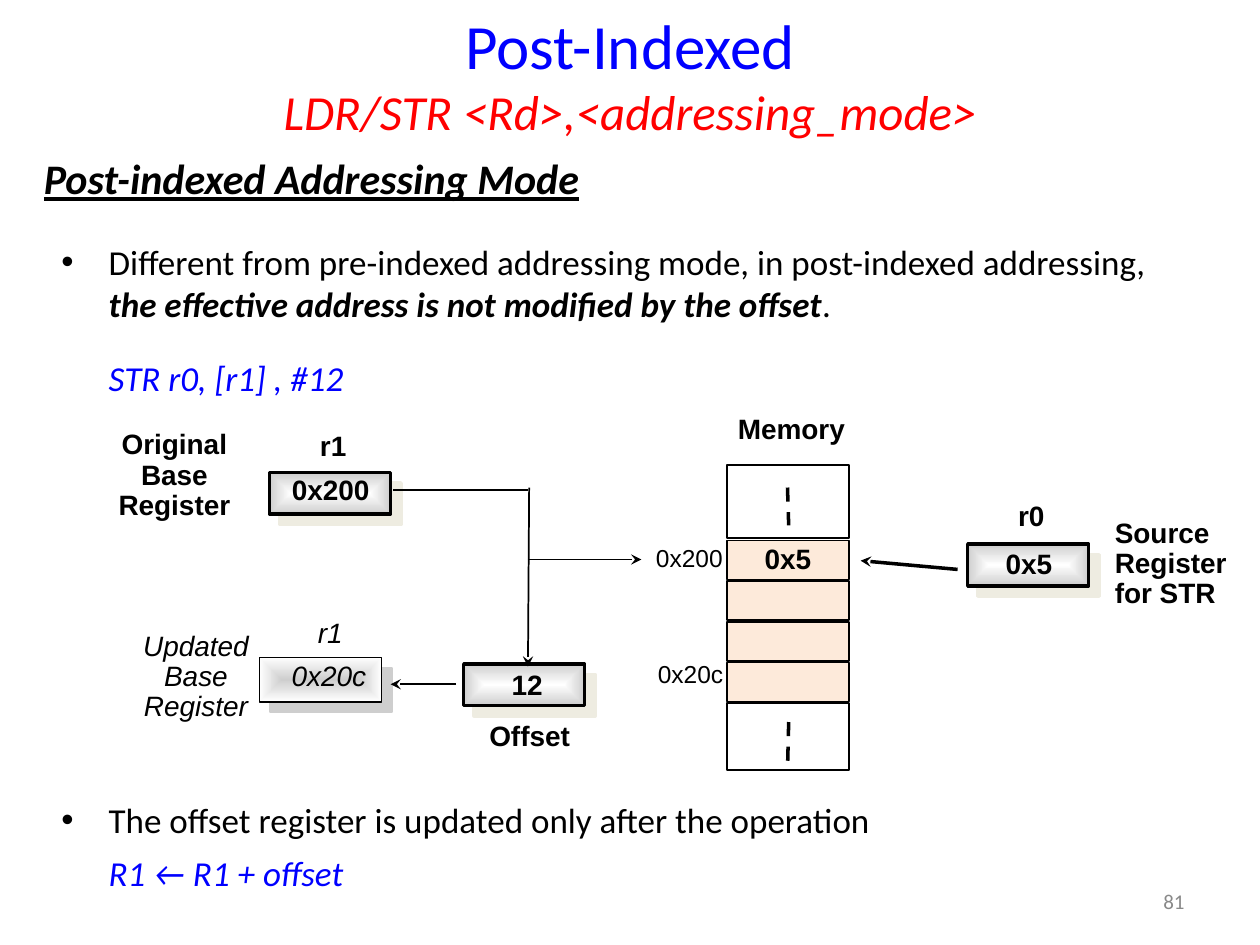
from dataclasses import dataclass

from lxml.etree import SubElement
from pptx import Presentation
from pptx.dml.color import RGBColor
from pptx.enum.dml import MSO_LINE
from pptx.enum.shapes import MSO_CONNECTOR, MSO_SHAPE
from pptx.enum.text import MSO_ANCHOR, PP_ALIGN
from pptx.oxml import parse_xml
from pptx.oxml.ns import nsdecls, qn
from pptx.util import Pt

BLACK, BLUE, RED, WHITE, SILVER = "000000", "0000FF", "FF0000", "FFFFFF", "CECECE"
CENTER, LEFT, RIGHT = PP_ALIGN.CENTER, PP_ALIGN.LEFT, PP_ALIGN.RIGHT


@dataclass
class Box:
    x: float
    y: float
    w: float = 69.1
    h: float = 23.8
    line: float = 2
    inner: str = WHITE
    outer: str = SILVER
    shade: str = "EEECE1"


@dataclass
class Cell:
    y: float
    h: float = 22.3
    fill: str = "FDEADA"
    text: str = ""


@dataclass
class Label:
    text: str
    x: float
    y: float
    w: float = 84.2
    h: float = 24.5
    size: float = 16
    bold: bool = True
    slant: bool = False
    align: PP_ALIGN = CENTER


@dataclass
class Link:
    x1: float
    y1: float
    x2: float
    y2: float
    width: float = 1
    arrow: bool = False
    dash: bool = False


def color(code: str) -> RGBColor:
    return RGBColor.from_string(code)


def style(par, face: str, size: float, code: str = BLACK, bold: bool = False,
          slant: bool = False) -> None:
    font = par.font
    font.name, font.size, font.bold, font.italic = face, Pt(size), bold, slant
    font.color.rgb = color(code)


def frame(slide, x: float, y: float, w: float, h: float):
    text = slide.shapes.add_textbox(Pt(x), Pt(y), Pt(w), Pt(h)).text_frame
    text.word_wrap = True
    return text


def indent(par, bullet: bool) -> None:
    props = par._p.get_or_add_pPr()
    props.set("marL", str(Pt(27)))
    props.set("indent", str(Pt(-27 if bullet else 0)))
    if bullet:
        SubElement(props, qn("a:buFont")).set("typeface", "Arial")
        SubElement(props, qn("a:buChar")).set("char", "•")


def draw_rect(slide, x: float, y: float, w: float, h: float, line: float):
    shape = slide.shapes.add_shape(MSO_SHAPE.RECTANGLE, Pt(x), Pt(y), Pt(w), Pt(h))
    shape.shadow.inherit = False
    shape.line.color.rgb = color(BLACK)
    shape.line.width = Pt(line)
    return shape


def draw_box(slide, box: Box) -> None:
    shape = draw_rect(slide, box.x, box.y, box.w, box.h, box.line)
    shape.fill.background()
    props = shape._element.spPr
    blend = parse_xml(
        f'<a:gradFill {nsdecls("a")} rotWithShape="1"><a:gsLst>'
        f'<a:gs pos="0"><a:srgbClr val="{box.inner}"/></a:gs>'
        f'<a:gs pos="100000"><a:srgbClr val="{box.outer}"/></a:gs></a:gsLst>'
        '<a:path path="shape"><a:fillToRect l="50000" t="50000" r="50000" b="50000"/>'
        '</a:path></a:gradFill>')
    props.replace(props.find(qn("a:noFill")), blend)
    cast = SubElement(props.find(qn("a:effectLst")), qn("a:outerShdw"))
    cast.set("dist", str(Pt(8.5)))
    cast.set("dir", str(45 * 60000))
    cast.set("algn", "ctr")
    cast.set("rotWithShape", "0")
    SubElement(cast, qn("a:srgbClr")).set("val", box.shade)


def draw_cell(slide, cell: Cell) -> None:
    shape = draw_rect(slide, 415.4, cell.y, 69.8, cell.h, 1)
    if cell.fill:
        shape.fill.solid()
        shape.fill.fore_color.rgb = color(cell.fill)
    else:
        shape.fill.background()
    if cell.text:
        text = shape.text_frame
        text.word_wrap = False
        text.vertical_anchor = MSO_ANCHOR.MIDDLE
        par = text.paragraphs[0]
        par.text, par.alignment, par.line_spacing = cell.text, CENTER, 0.9
        style(par, "Arial", 16, bold=True)


def draw_label(slide, label: Label) -> None:
    par = frame(slide, label.x, label.y, label.w, label.h).paragraphs[0]
    par.text, par.alignment, par.line_spacing = label.text, label.align, 0.9
    style(par, "Arial", label.size, bold=label.bold, slant=label.slant)


def draw_link(slide, link: Link) -> None:
    line = slide.shapes.add_connector(
        MSO_CONNECTOR.STRAIGHT, Pt(link.x1), Pt(link.y1), Pt(link.x2), Pt(link.y2))
    line.line.color.rgb = color(BLACK)
    line.line.width = Pt(link.width)
    if link.dash:
        line.line.dash_style = MSO_LINE.DASH
    if link.arrow:
        SubElement(line.line._get_or_add_ln(), qn("a:tailEnd")).set("type", "stealth")
    SubElement(line._element.spPr, qn("a:effectLst"))


def draw_text(slide) -> None:
    head = frame(slide, 36, 0, 648, 54)
    top, sub = head.paragraphs[0], head.add_paragraph()
    top.text, sub.text = "Post-Indexed", "LDR/STR <Rd>,<addressing_mode>"
    top.alignment = sub.alignment = CENTER
    style(top, "Calibri", 36, BLUE)
    style(sub, "Calibri", 28, RED, slant=True)

    par = frame(slide, 18, 83.5, 648, 41.8).paragraphs[0]
    par.text = "Post-indexed Addressing Mode"
    style(par, "Calibri", 24, bold=True, slant=True)
    par.font.underline = True

    body = frame(slide, 28, 134, 647, 104)
    par = body.paragraphs[0]
    indent(par, True)
    style(par, "Calibri", 20)
    par.add_run().text = ("Different from pre-indexed addressing mode, "
                          "in post-indexed addressing, ")
    key = par.add_run()
    key.text = "the effective address is not modified by the offset"
    key.font.bold = key.font.italic = True
    par.add_run().text = "."
    add_code(body, "STR r0, [r1] , #12", 18)

    foot = frame(slide, 28, 453, 647, 64)
    par = foot.paragraphs[0]
    par.text = "The offset register is updated only after the operation"
    indent(par, True)
    style(par, "Calibri", 20)
    add_code(foot, "R1 ← R1 + offset", 6)

    page = frame(slide, 516, 500.4, 168, 28.8)
    page.vertical_anchor = MSO_ANCHOR.MIDDLE
    par = page.paragraphs[0]
    par.text, par.alignment = "81", RIGHT
    style(par, "Calibri", 12, "898989")


def add_code(text, code: str, gap: float) -> None:
    par = text.add_paragraph()
    par.text, par.space_before = code, Pt(gap)
    indent(par, False)
    style(par, "Calibri", 20, BLUE, slant=True)


BOXES = [Box(154.1, 270), Box(553, 311), Box(265, 379.4),
         Box(148.3, 375.8, 69.8, 25.2, 1, SILVER, WHITE, SILVER)]
CELLS = [Cell(265.7, 41.8, ""),
         *(Cell(308.9 + 23.2 * i, text="" if i else "0x5") for i in range(4)),
         Cell(401.8, 38.2, "")]
LABELS = [
    Label("r1", 148.3, 243.4),
    Label("0x200", 154.1, 268.6, 69.8),
    Label("Original\nBase\nRegister", 57.6, 242.6, h=59),
    Label("Memory", 409.7, 234, 85),
    Label("0x200", 358.6, 308.9, 70.6, 22.3, 14, False),
    Label("0x20c", 359.3, 375.1, 70.6, 22.3, 14, False),
    Label("r0", 547.2, 283.7),
    Label("0x5", 553, 311, 69.8),
    Label("Source\nRegister\nfor STR", 630, 293, h=59, align=LEFT),
    Label("Offset", 260.6, 409),
    Label("12", 266.4, 380.2, 69.8),
    Label("r1", 146.2, 350.6, 85, bold=False, slant=True),
    Label("0x20c", 152.6, 375.1, 70.6, bold=False, slant=True),
    Label("Updated\nBase\nRegister", 60.5, 357.8, 103, 59, bold=False, slant=True),
]
LINKS = [
    Link(301.7, 280.1, 224.6, 280.1),
    Link(302.4, 278.6, 301.7, 380.9, arrow=True),
    Link(301.7, 319.7, 366.5, 319.7, arrow=True),
    Link(260.6, 391, 223.2, 391, arrow=True),
    Link(547.2, 325.4, 491.8, 320.4, 2, arrow=True),
    Link(450, 278.6, 450.7, 300.2, 2, dash=True),
    Link(450.7, 412.6, 450, 440, 2, dash=True),
]


def main() -> None:
    deck = Presentation()
    deck.slide_width, deck.slide_height = Pt(720), Pt(540)
    slide = deck.slides.add_slide(deck.slide_layouts[6])
    for draw, items in ((draw_box, BOXES), (draw_cell, CELLS),
                        (draw_label, LABELS), (draw_link, LINKS)):
        for item in items:
            draw(slide, item)
    draw_text(slide)
    deck.save("out.pptx")


if __name__ == "__main__":
    main()
